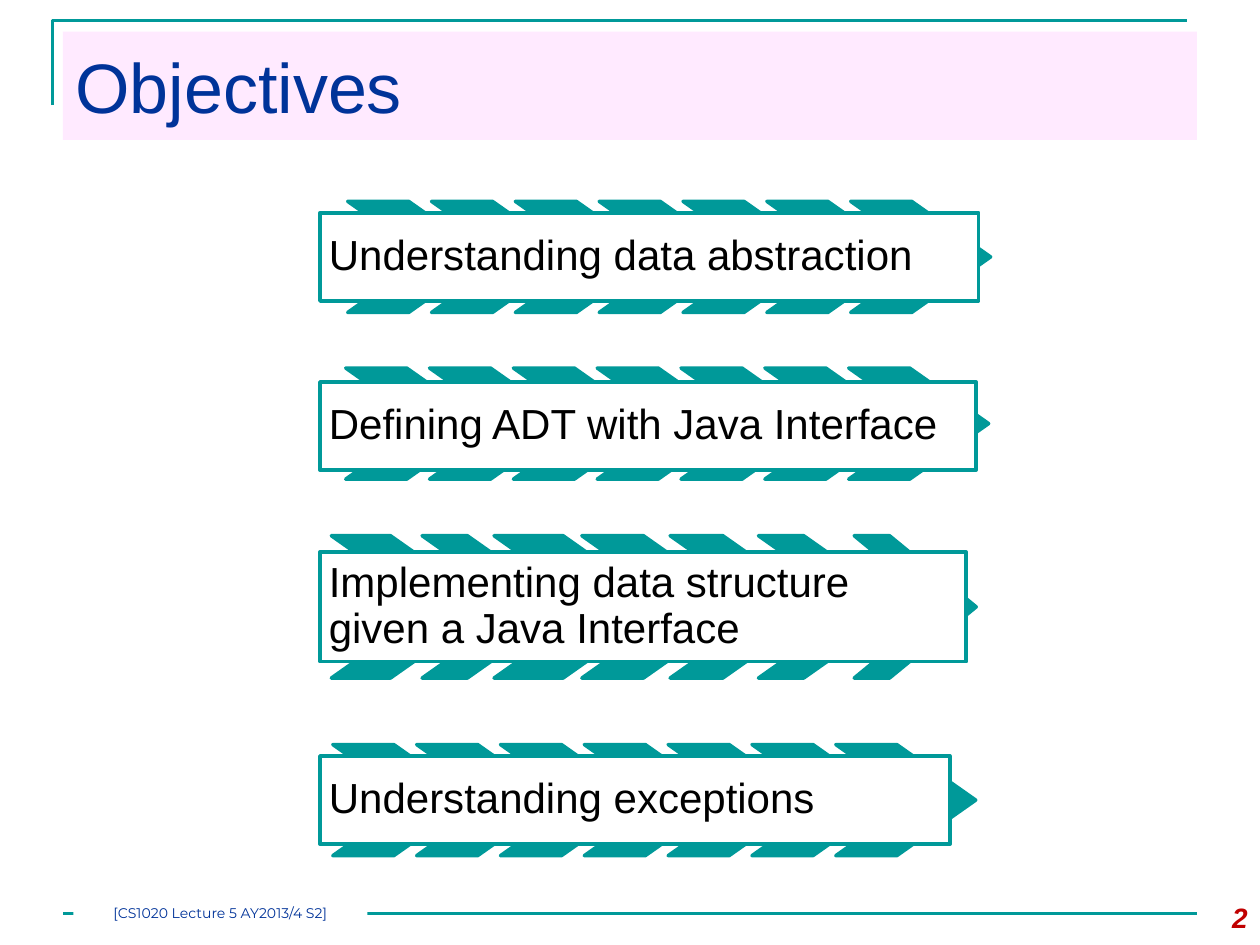
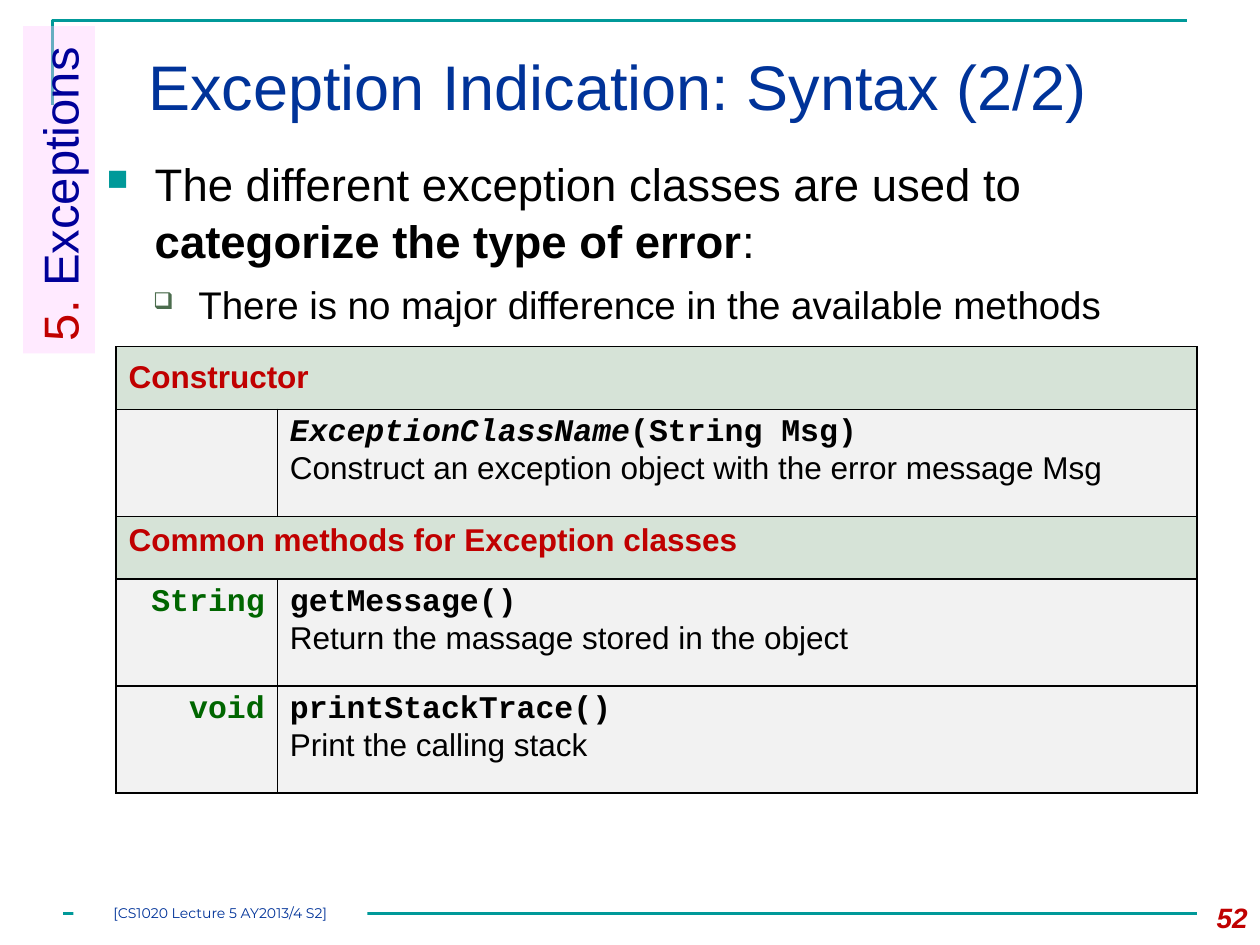
"""Build two lecture slides: objectives and exception syntax."""
import pptx
import pptx.util
import pptx.dml.color
import pptx.enum.shapes
import pptx.enum.text
import pptx.oxml
import pptx.oxml.ns
import lxml.etree

Cm, Pt = pptx.util.Cm, pptx.util.Pt
KIND = pptx.enum.shapes.MSO_SHAPE
ALIGN = pptx.enum.text.PP_ALIGN
ANCHOR = pptx.enum.text.MSO_ANCHOR

HUES = {
    "teal": "009999", "navy": "003399", "blue": "000099", "pink": "FFCCFF",
    "red": "C00000", "green": "006600", "moss": "4C6D4E", "sage": "D6E3D7",
    "grey": "F2F2F2", "white": "FFFFFF", "black": "000000",
}


def style(hue, size, name="Arial", **more):
    """Return the format values of a run."""
    return {"hue": hue, "size": Pt(size), "name": name, **more}


HEAD = style("navy", 40)
SYNTAX = style("navy", 36)
FOOT = style("navy", 8, "Montserrat")
PAGE = style("red", 16, bold=True, italic=True)
GOAL = style("black", 24)
POINT = style("black", 26)
MINOR = style("black", 22)
CELL = style("black", 18)
BAND = style("red", 18, bold=True)
CODE = style("black", 18, "Courier New", bold=True)
TYPE = {**CODE, "hue": "green"}

GOALS = [
    ("Understanding data abstraction", (6.45, 4.29, 13.28, 1.78), 4.06, 2.24,
     7.01),
    ("Defining ADT with Java Interface", (6.45, 7.7, 13.23, 1.78), 7.42, 2.24,
     6.97),
    ("Implementing data structure given a Java Interface",
     (6.45, 11.13, 13.03, 2.21), 10.8, 2.87,
     [(6.68, 3.23), (8.51, 2.95), (9.96, 3.43), (11.73, 3.28),
      (13.51, 3.1), (15.29, 2.95), (17.22, 2.46)]),
    ("Understanding exceptions", (6.45, 15.24, 12.7, 1.78), 15.01, 2.24, 6.71),
]

METHODS = [
    ("Constructor",),
    ("", [("ExceptionClassName", {**CODE, "italic": True}),
          ("(String Msg)", CODE)],
     "Construct an exception object with the error message Msg"),
    ("Common methods for Exception classes",),
    ("String", [("getMessage()", CODE)],
     "Return the massage stored in the object"),
    ("void", [("printStackTrace()", CODE)], "Print the calling stack"),
]


def shade(hue):
    """Return the colour for a hue name."""
    return pptx.dml.color.RGBColor.from_string(HUES[hue])


def add_node(root, tag, **values):
    """Append a drawing element to root."""
    return lxml.etree.SubElement(root, pptx.oxml.ns.qn(tag), **values)


def write(frame, paras, align=None, **form):
    """Fill a text frame with paragraphs of (text, style) runs."""
    for key, value in form.items():
        setattr(frame, key, value)
    for index, runs in enumerate(paras):
        para = frame.paragraphs[0] if index == 0 else frame.add_paragraph()
        para.alignment = align or ALIGN.LEFT
        for text, look in runs:
            run = para.add_run()
            run.text = text
            for key, value in look.items():
                if key == "hue":
                    run.font.color.rgb = shade(value)
                else:
                    setattr(run.font, key, value)


def inset(left, top):
    """Return margins that match on facing sides."""
    return {"margin_left": Cm(left), "margin_right": Cm(left),
            "margin_top": Cm(top), "margin_bottom": Cm(top)}


def draw_line(line, hue, width):
    """Set the colour and width of a line."""
    line.color.rgb = shade(hue)
    line.width = Pt(width)


def add_box(shapes, area, fill, edge=None, kind=KIND.RECTANGLE, alpha=None):
    """Add a filled preset shape."""
    box = shapes.add_shape(kind, *map(Cm, area))
    box.shadow.inherit = False
    box.fill.solid()
    box.fill.fore_color.rgb = shade(fill)
    if alpha:
        tint = box.fill._xPr.find(".//" + pptx.oxml.ns.qn("a:srgbClr"))
        add_node(tint, "a:alpha", val=str(alpha * 1000))
    if edge:
        draw_line(box.line, edge, 2)
    else:
        box.line.fill.background()
    return box


def add_text(slide, area, paras, **form):
    """Add a wrapping text box."""
    box = slide.shapes.add_textbox(*map(Cm, area))
    write(box.text_frame, paras, word_wrap=True, **form)
    return box.text_frame


def add_base(slide):
    """Draw the corner frame and the bottom rule."""
    pen = slide.shapes.build_freeform(Cm(1.06), Cm(2.12))
    pen.add_line_segments([(Cm(1.06), Cm(0.42)), (Cm(23.92), Cm(0.42))],
                          close=False)
    frame = pen.convert_to_shape()
    frame.fill.background()
    frame.shadow.inherit = False
    draw_line(frame.line, "teal", 1.5)
    rule = slide.shapes.add_connector(
        pptx.enum.shapes.MSO_CONNECTOR.STRAIGHT,
        Cm(1.27), Cm(18.42), Cm(24.13), Cm(18.42))
    draw_line(rule.line, "teal", 1.5)
    add_node(rule._element.spPr, "a:effectLst")


def add_foot(slide, page):
    """Add the course label and the page number."""
    label = add_box(slide.shapes, (1.48, 18.2, 5.93, 0.42), "white")
    write(label.text_frame, [[("[CS1020 Lecture 5 AY2013/4 S2]", FOOT)]],
          ALIGN.CENTER, vertical_anchor=ANCHOR.MIDDLE, **inset(0, 0))
    add_text(slide, (23.7, 18.03, 1.7, 1.02), [[(page, PAGE)]],
             align=ALIGN.RIGHT)


def add_goal(slide, text, area, top, height, marks):
    """Add a framed goal over a row of chevrons."""
    if not isinstance(marks, list):
        marks = [(marks + 1.69 * step, 2.82) for step in range(7)]
    group = slide.shapes.add_group_shape()
    for left, width in marks:
        mark = add_box(group.shapes, (left, top, width, height), "teal",
                       "teal", KIND.CHEVRON)
        mark.adjustments[0] = 0.71
    box = add_box(group.shapes, area, "white", "teal")
    write(box.text_frame, [[(text, GOAL)]], word_wrap=True,
          vertical_anchor=ANCHOR.MIDDLE, **inset(0.18, 0.18))
    box.text_frame.paragraphs[0].line_spacing = 0.9


def add_bullet(para, char, hue, size, left, hang):
    """Give a paragraph a hanging bullet."""
    para.space_before = Pt(6)
    para.line_spacing = 1.05
    props = para._p.get_or_add_pPr()
    props.set("marL", str(Cm(left)))
    props.set("indent", str(-Cm(hang)))
    add_node(add_node(props, "a:buClr"), "a:srgbClr", val=HUES[hue])
    add_node(props, "a:buSzPct", val=str(size * 1000))
    add_node(props, "a:buChar", char=char)


def paint(cell, hue):
    """Give a cell black borders and a plain fill."""
    props = cell._tc.get_or_add_tcPr()
    for side in "LRTB":
        edge = add_node(props, "a:ln" + side, w=str(Pt(1)))
        add_node(add_node(edge, "a:solidFill"), "a:srgbClr",
                 val=HUES["black"])
    cell.fill.solid()
    cell.fill.fore_color.rgb = shade(hue)


def add_grid(slide):
    """Add the table of constructor and methods."""
    area = map(Cm, (2.34, 6.99, 21.79, 8.99))
    grid = slide.shapes.add_table(len(METHODS), 2, *area).table
    grid.first_row = grid.horz_banding = False
    for col, width in zip(grid.columns, (3.25, 18.54)):
        col.width = Cm(width)
    for index, (name, *detail) in enumerate(METHODS):
        grid.rows[index].height = Cm(2.16 if detail else 1.26)
        first, second = grid.cell(index, 0), grid.cell(index, 1)
        for cell in (first, second):
            paint(cell, "grey" if detail else "sage")
        if detail:
            call, note = detail
            if name:
                write(first.text_frame, [[(name, TYPE)]], ALIGN.RIGHT)
            write(second.text_frame, [call, [(note, CELL)]])
        else:
            first.merge(second)
            write(first.text_frame, [[(name, BAND)]])
    grid.cell(0, 0).vertical_anchor = ANCHOR.MIDDLE


def show_goals(slide):
    """Build the slide of objectives."""
    add_base(slide)
    title = add_box(slide.shapes, (1.27, 0.64, 22.86, 2.18), "pink", alpha=40)
    write(title.text_frame, [[("Objectives", HEAD)]],
          vertical_anchor=ANCHOR.MIDDLE)
    add_foot(slide, "2")
    for goal in GOALS:
        add_goal(slide, *goal)


def show_syntax(slide):
    """Build the slide on exception syntax."""
    add_base(slide)
    add_text(slide, (2.74, 0.64, 22.02, 2.18),
             [[("Exception Indication: Syntax (2/2)", SYNTAX)]],
             vertical_anchor=ANCHOR.MIDDLE)
    add_foot(slide, "52")
    tab = add_box(slide.shapes, (-2.11, 3.1, 6.6, 1.45), "pink", alpha=40)
    tab.rotation = 270
    write(tab.text_frame, [[("5. ", style("red", 28)),
                            ("Exceptions", style("blue", 28))]],
          vertical_anchor=ANCHOR.MIDDLE)
    body = add_text(slide, (1.9, 2.97, 22.23, 4.24), [
        [("The different exception classes are used to ", POINT),
         ("categorize the type of error", {**POINT, "bold": True}),
         (":", POINT)],
        [("There is no major difference in the available methods", MINOR)],
    ])
    main_point, sub_point = body.paragraphs
    sub_point.level = 1
    add_bullet(main_point, "■", "teal", 65, 0.97, 0.97)
    add_bullet(sub_point, "❑", "moss", 60, 1.85, 0.91)
    add_grid(slide)


def main():
    """Build and save the deck."""
    deck = pptx.Presentation()
    deck.slide_width, deck.slide_height = Cm(25.4), Cm(19.05)
    for show in (show_goals, show_syntax):
        show(deck.slides.add_slide(deck.slide_layouts[6]))
    deck.save("out.pptx")


if __name__ == "__main__":
    main()
